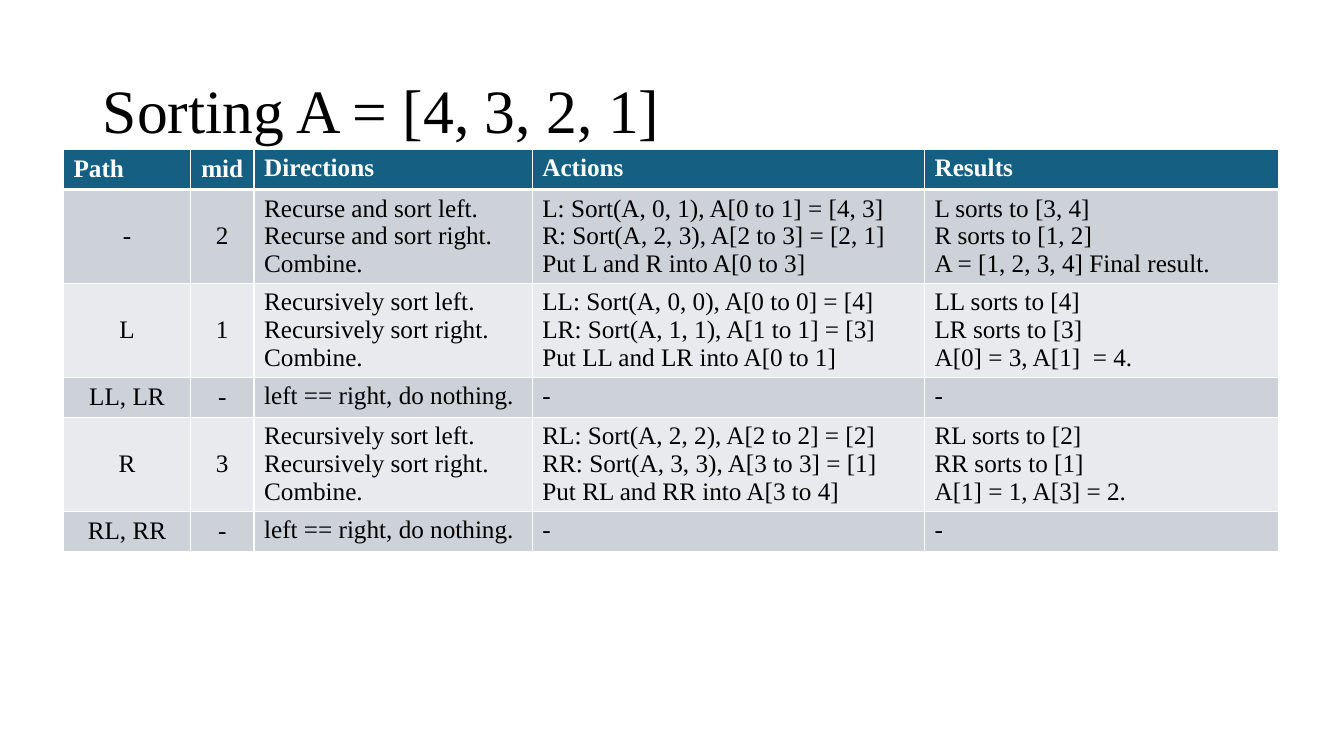
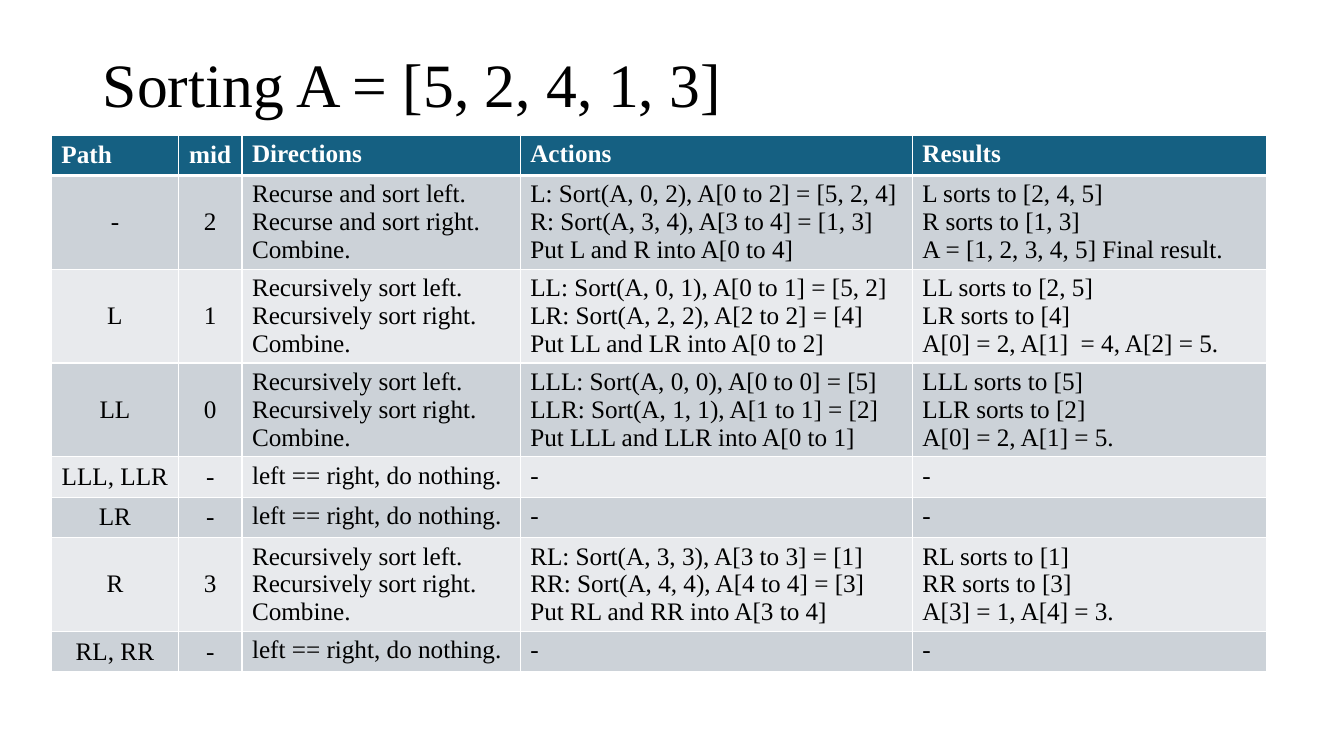
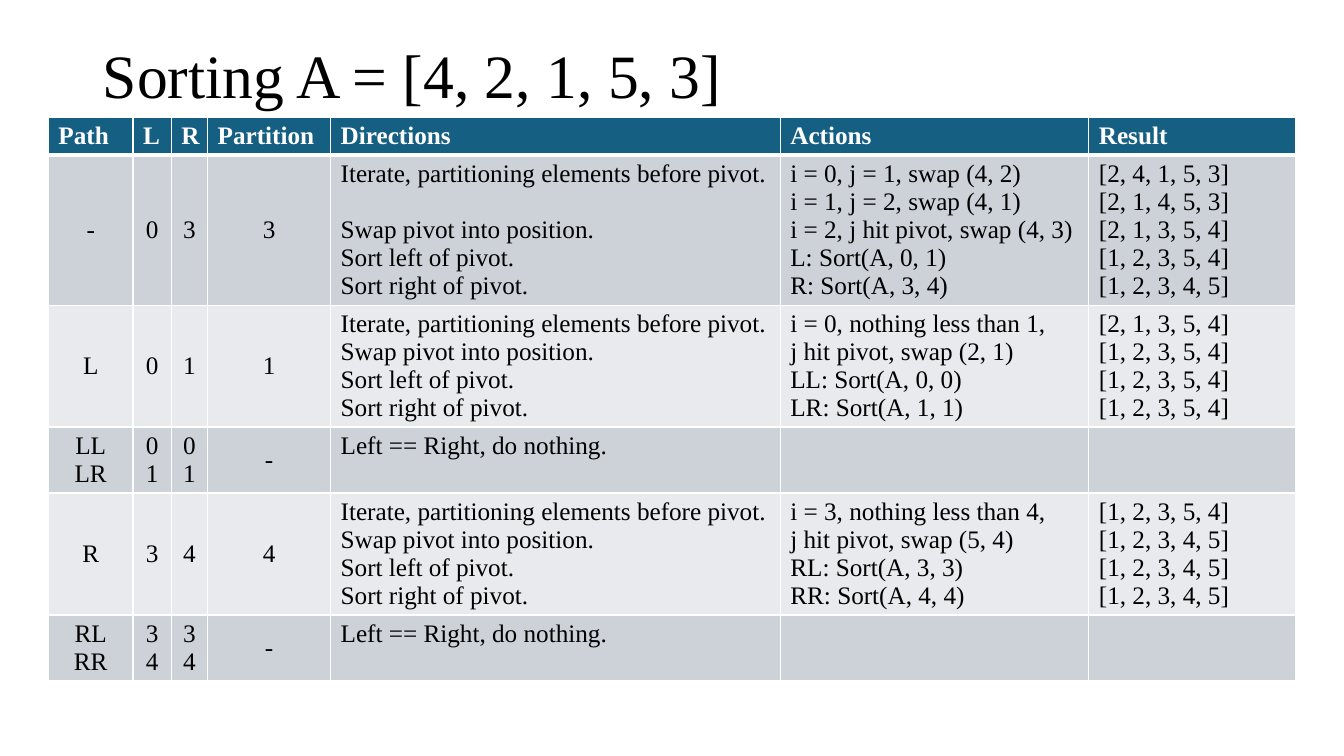
from dataclasses import dataclass

from lxml.etree import SubElement
from pptx import Presentation
from pptx.dml.color import RGBColor
from pptx.enum.text import MSO_ANCHOR, MSO_AUTO_SIZE, PP_ALIGN
from pptx.oxml.ns import qn
from pptx.util import Inches, Pt


@dataclass(frozen=True)
class Theme:
    font: str = "Times New Roman"
    ink: str = "000000"
    white: str = "FFFFFF"
    head: str = "156082"
    bands: tuple = ("CCD2D8", "E8EAED")
    title: int = 44
    body: int = 18
    gap: int = 20
    thin: int = 1
    thick: int = 3


class Deck:
    def __init__(self, theme):
        self.theme = theme
        self.file = Presentation()
        self.file.slide_width = Inches(13.33)
        self.file.slide_height = Inches(7.5)
        self.slide = None

    def add_text(self, para, text, size, color, bold=False):
        run = para.add_run()
        run.text = text
        font = run.font
        font.name = self.theme.font
        font.size = Pt(size)
        font.bold = bold
        font.color.rgb = RGBColor.from_string(color)

    def title(self, text, top):
        layout = self.file.slide_layouts.get_by_name("Title Only")
        self.slide = self.file.slides.add_slide(layout)
        box = self.slide.shapes.title
        box.left, box.top = Inches(0.92), Inches(top)
        box.width, box.height = Inches(11.5), Inches(1.45)
        frame = box.text_frame
        frame.word_wrap = True
        frame.auto_size = MSO_AUTO_SIZE.NONE
        frame.vertical_anchor = MSO_ANCHOR.MIDDLE
        para = frame.paragraphs[0]
        para.alignment = PP_ALIGN.LEFT
        para.line_spacing = 0.9
        self.add_text(para, text, self.theme.title, self.theme.ink)

    def edge(self, cell, side, width):
        line = SubElement(cell._tc.get_or_add_tcPr(), qn(f"a:{side}"), w=str(Pt(width)))
        fill = SubElement(line, qn("a:solidFill"))
        SubElement(fill, qn("a:srgbClr"), val=self.theme.white)

    def cell(self, cell, text, row, key):
        look = self.theme
        head = row == 0
        for side in ("lnL", "lnR", "lnT", "lnB"):
            rule = (row, side) in ((0, "lnB"), (1, "lnT"))
            self.edge(cell, side, look.thick if rule else look.thin)
        cell.fill.solid()
        shade = look.head if head else look.bands[(row - 1) % 2]
        cell.fill.fore_color.rgb = RGBColor.from_string(shade)
        cell.vertical_anchor = MSO_ANCHOR.MIDDLE if key else MSO_ANCHOR.TOP
        mid = key and (not head or text == "mid")
        para, gap = None, 0
        for line in text.split("\n"):
            if not line:
                gap = look.gap
                continue
            para = cell.text_frame.add_paragraph() if para else cell.text_frame.paragraphs[0]
            para.alignment = PP_ALIGN.CENTER if mid else PP_ALIGN.LEFT
            if gap:
                para.space_before = Pt(gap)
            gap = 0
            self.add_text(para, line, look.body, look.white if head else look.ink, head)

    def table(self, left, top, cols, rows, keys, low):
        tall = [max(low, 0.09 + 0.28 * max(text.count("\n") + 1 for text in row)) for row in rows]
        grid = self.slide.shapes.add_table(
            len(rows), len(cols), Inches(left), Inches(top), Inches(sum(cols)), Inches(sum(tall))
        ).table
        for col, width in zip(grid.columns, cols):
            col.width = Inches(width)
        for i, row in enumerate(rows):
            grid.rows[i].height = Inches(tall[i])
            for j, text in enumerate(row):
                self.cell(grid.cell(i, j), text, i, j < keys)


MERGE_COLS = (1.26, 0.63, 2.76, 3.89, 3.51)
MERGE_HEAD = ("Path", "mid", "Directions", "Actions", "Results")
FIRST = "Recurse and sort left.\nRecurse and sort right.\nCombine."
HALVE = "Recursively sort left.\nRecursively sort right.\nCombine."
QUICK_COLS = (0.84, 0.38, 0.36, 1.22, 4.46, 3.06, 2.05)
QUICK_HEAD = ("Path", "L", "R", "Partition", "Directions", "Actions", "Result")
SCAN = "Iterate, partitioning elements before pivot."
PLACE = "Swap pivot into position.\nSort left of pivot.\nSort right of pivot."
SPLIT = f"{SCAN}\n{PLACE}"


def leaf(name):
    return (name, "-", "left == right, do nothing.", "-", "-")


def pair(name, ends):
    return (name, ends, ends, "-", "Left == Right, do nothing.", "", "")


FOUR = (
    MERGE_HEAD,
    ("-", "2", FIRST,
     "L: Sort(A, 0, 1), A[0 to 1] = [4, 3]\nR: Sort(A, 2, 3), A[2 to 3] = [2, 1]\nPut L and R into A[0 to 3]",
     "L sorts to [3, 4]\nR sorts to [1, 2]\nA = [1, 2, 3, 4] Final result."),
    ("L", "1", HALVE,
     "LL: Sort(A, 0, 0), A[0 to 0] = [4]\nLR: Sort(A, 1, 1), A[1 to 1] = [3]\nPut LL and LR into A[0 to 1]",
     "LL sorts to [4]\nLR sorts to [3]\nA[0] = 3, A[1]  = 4."),
    leaf("LL, LR"),
    ("R", "3", HALVE,
     "RL: Sort(A, 2, 2), A[2 to 2] = [2]\nRR: Sort(A, 3, 3), A[3 to 3] = [1]\nPut RL and RR into A[3 to 4]",
     "RL sorts to [2]\nRR sorts to [1]\nA[1] = 1, A[3] = 2."),
    leaf("RL, RR"),
)

FIVE = (
    MERGE_HEAD,
    ("-", "2", FIRST,
     "L: Sort(A, 0, 2), A[0 to 2] = [5, 2, 4]\nR: Sort(A, 3, 4), A[3 to 4] = [1, 3]\nPut L and R into A[0 to 4]",
     "L sorts to [2, 4, 5]\nR sorts to [1, 3]\nA = [1, 2, 3, 4, 5] Final result."),
    ("L", "1", HALVE,
     "LL: Sort(A, 0, 1), A[0 to 1] = [5, 2]\nLR: Sort(A, 2, 2), A[2 to 2] = [4]\nPut LL and LR into A[0 to 2]",
     "LL sorts to [2, 5]\nLR sorts to [4]\nA[0] = 2, A[1]  = 4, A[2] = 5."),
    ("LL", "0", HALVE,
     "LLL: Sort(A, 0, 0), A[0 to 0] = [5]\nLLR: Sort(A, 1, 1), A[1 to 1] = [2]\nPut LLL and LLR into A[0 to 1]",
     "LLL sorts to [5]\nLLR sorts to [2]\nA[0] = 2, A[1] = 5."),
    leaf("LLL, LLR"),
    leaf("LR"),
    ("R", "3", HALVE,
     "RL: Sort(A, 3, 3), A[3 to 3] = [1]\nRR: Sort(A, 4, 4), A[4 to 4] = [3]\nPut RL and RR into A[3 to 4]",
     "RL sorts to [1]\nRR sorts to [3]\nA[3] = 1, A[4] = 3."),
    leaf("RL, RR"),
)

QUICK = (
    QUICK_HEAD,
    ("-", "0", "3", "3", f"{SCAN}\n\n{PLACE}",
     "i = 0, j = 1, swap (4, 2)\ni = 1, j = 2, swap (4, 1)\ni = 2, j hit pivot, swap (4, 3)\n"
     "L: Sort(A, 0, 1)\nR: Sort(A, 3, 4)",
     "[2, 4, 1, 5, 3]\n[2, 1, 4, 5, 3]\n[2, 1, 3, 5, 4]\n[1, 2, 3, 5, 4]\n[1, 2, 3, 4, 5]"),
    ("L", "0", "1", "1", SPLIT,
     "i = 0, nothing less than 1,\nj hit pivot, swap (2, 1)\nLL: Sort(A, 0, 0)\nLR: Sort(A, 1, 1)",
     "[2, 1, 3, 5, 4]\n[1, 2, 3, 5, 4]\n[1, 2, 3, 5, 4]\n[1, 2, 3, 5, 4]"),
    pair("LL\nLR", "0\n1"),
    ("R", "3", "4", "4", SPLIT,
     "i = 3, nothing less than 4,\nj hit pivot, swap (5, 4)\nRL: Sort(A, 3, 3)\nRR: Sort(A, 4, 4)",
     "[1, 2, 3, 5, 4]\n[1, 2, 3, 4, 5]\n[1, 2, 3, 4, 5]\n[1, 2, 3, 4, 5]"),
    pair("RL\nRR", "3\n4"),
)


def main():
    deck = Deck(Theme())
    deck.title("Sorting A = [4, 3, 2, 1]", 0.4)
    deck.table(0.63, 1.48, MERGE_COLS, FOUR, 2, 0.4)
    deck.title("Sorting A = [5, 2, 4, 1, 3]", 0.14)
    deck.table(0.51, 1.34, MERGE_COLS, FIVE, 2, 0.4)
    deck.title("Sorting A = [4, 2, 1, 5, 3]", 0.05)
    deck.table(0.48, 1.16, QUICK_COLS, QUICK, 4, 0.37)
    deck.file.save("out.pptx")


if __name__ == "__main__":
    main()
